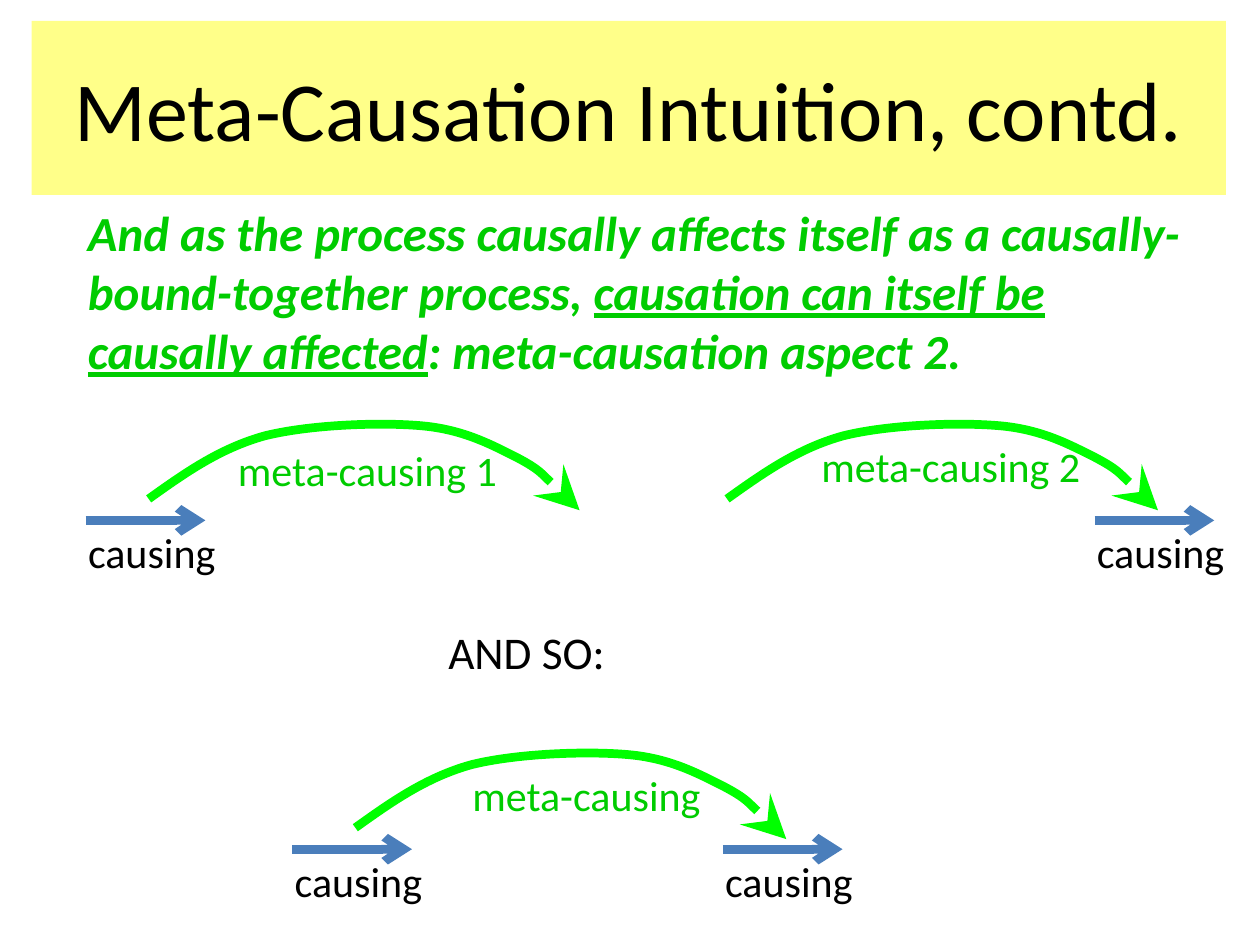
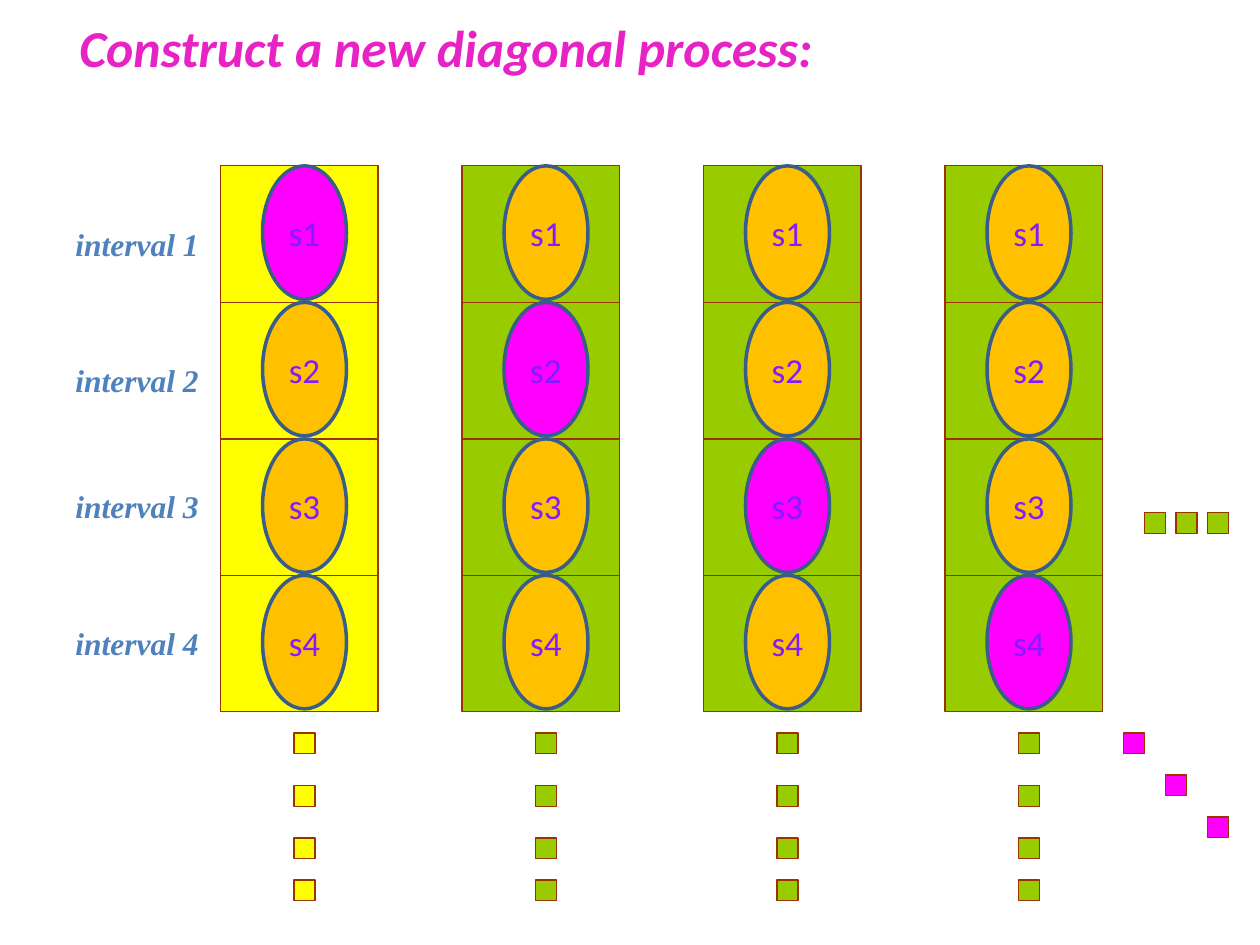
from lxml.etree import SubElement
from pptx import Presentation
from pptx.dml.color import RGBColor
from pptx.enum.shapes import MSO_CONNECTOR, MSO_SHAPE
from pptx.enum.text import MSO_ANCHOR, MSO_AUTO_SIZE, PP_ALIGN
from pptx.oxml.ns import qn
from pptx.util import Inches, Pt

COLOURS = dict(
    ink="000000", band="FFFF89", meta_text="00CC00", meta_arc="00FF00",
    cause="4A7EBB", yellow="FFFF00", green="99CC00", magenta="FF00FF",
    amber="FFC000", border="993300", outline="385D8A", state="821BFF",
    interval="4F81BD", heading="E723C6",
)
UNIT = 1 / 12

TITLE = "Meta-Causation Intuition, contd."
CLAIM = [
    ("And as the process causally affects itself as a causally-bound-together process, ", False),
    ("causation can itself be causally affected", True),
    (": meta-causation aspect 2.", False),
]
CAUSE_LABEL = "causing"
CONCLUSION = "AND SO:"
META_LINKS = [
    dict(origin=(0.6, 4.13), label="meta-causing 1", label_at=(1.19, -0.65), label_width=2.26, causes=[0]),
    dict(origin=(5.19, 4.13), label="meta-causing 2", label_at=(1.23, -0.68), label_width=2.26, causes=[1]),
    dict(origin=(2.24, 6.74), label="meta-causing", label_at=(1.41, -0.68), label_width=2.02, causes=[0, 1]),
]
CAUSE_STEP = 41 * UNIT
ARC_START = (0.58, -0.17)
ARC_CURVES = [
    [(0.86, -0.37), (1.14, -0.57), (1.5, -0.67)],
    [(1.86, -0.76), (2.42, -0.78), (2.75, -0.75)],
    [(3.08, -0.72), (3.3, -0.6), (3.5, -0.5)],
    [(3.69, -0.4), (3.83, -0.24), (3.92, -0.17)],
    [(4.0, -0.1), (4.0, -0.09), (4.0, -0.08)],
]

HEADING = "Construct a new diagonal process:"
PROCESSES = ["yellow", "green", "green", "green"]
STATES = ["s1", "s2", "s3", "s4"]
INTERVALS = [("interval 1", 1.74), ("interval 2", 2.82), ("interval 3", 3.82), ("interval 4", 4.9)]
GRID_LEFT, GRID_TOP = 21 * UNIT, 15.8 * UNIT
PITCH, CELL_WIDTH, CELL_HEIGHT = 23 * UNIT, 15 * UNIT, 13 * UNIT
DOT = 2 * UNIT
TRAIL_TOP = GRID_TOP + 54 * UNIT
TRAIL_STEPS = [0, 5, 10, 14]
MORE_PROCESSES = [(109 * UNIT + 3 * UNIT * n, 4.07) for n in range(3)]
MORE_DIAGONAL = [(107 * UNIT + 4 * UNIT * n, TRAIL_TOP + 4 * UNIT * n) for n in range(3)]


def rgb(name):
    return RGBColor.from_string(COLOURS[name])


def write(paragraph, text, size, colour, font="Calibri", strong=False, underline=False):
    run = paragraph.add_run()
    run.text = text
    run.font.name = font
    run.font.size = Pt(size)
    run.font.color.rgb = rgb(colour)
    run.font.bold = run.font.italic = strong
    run.font.underline = underline


def text_box(slide, left, top, width, height, wrap=True, grow=True):
    frame = slide.shapes.add_textbox(*map(Inches, (left, top, width, height))).text_frame
    frame.word_wrap = wrap
    frame.auto_size = MSO_AUTO_SIZE.SHAPE_TO_FIT_TEXT if grow else MSO_AUTO_SIZE.NONE
    return frame


def block(slide, kind, left, top, width, height, fill, line=None, weight=0.75):
    shape = slide.shapes.add_shape(kind, *map(Inches, (left, top, width, height)))
    shape.shadow.inherit = False
    shape.fill.solid()
    shape.fill.fore_color.rgb = rgb(fill)
    if line:
        shape.line.color.rgb = rgb(line)
        shape.line.width = Pt(weight)
    else:
        shape.line.fill.background()
    return shape


def centred(shape, text, size, colour):
    frame = shape.text_frame
    frame.word_wrap = True
    frame.vertical_anchor = MSO_ANCHOR.MIDDLE
    frame.paragraphs[0].alignment = PP_ALIGN.CENTER
    write(frame.paragraphs[0], text, size, colour)


def arrow_line(shape, colour, head, size):
    shape.line.color.rgb = rgb(colour)
    shape.line.width = Pt(5)
    SubElement(shape.line._get_or_add_ln(), qn("a:tailEnd"), type=head, w=size, len=size)


def cause(slide, left, top):
    points = left + 0.08, top, left + 1.03, top
    arrow = slide.shapes.add_connector(MSO_CONNECTOR.STRAIGHT, *map(Inches, points))
    arrow_line(arrow, "cause", "arrow", "med")
    SubElement(arrow._element.spPr, qn("a:effectLst"))
    frame = text_box(slide, left, top, 1.21, 0.5, wrap=False)
    write(frame.paragraphs[0], CAUSE_LABEL, 24, "ink")


def bend(shape):
    route = next(shape._element.iter(qn("a:path")))
    segments = route.findall(qn("a:lnTo"))
    for first in range(0, len(segments), 3):
        curve = SubElement(route, qn("a:cubicBezTo"))
        for segment in segments[first:first + 3]:
            curve.append(segment[0])
            route.remove(segment)


def meta_arc(slide, left, top):
    start, *points = [
        (Inches(left + x), Inches(top + y))
        for x, y in [ARC_START, *sum(ARC_CURVES, [])]
    ]
    outline = slide.shapes.build_freeform(*start)
    outline.add_line_segments(points, close=False)
    arc = outline.convert_to_shape()
    bend(arc)
    arc.shadow.inherit = False
    arc.fill.background()
    arrow_line(arc, "meta_arc", "stealth", "lg")


def meta_link(slide, origin, label, label_at, label_width, causes):
    left, top = origin
    meta_arc(slide, left, top)
    for side in causes:
        cause(slide, left + side * CAUSE_STEP, top)
    frame = text_box(slide, left + label_at[0], top + label_at[1], label_width, 0.5, wrap=False)
    write(frame.paragraphs[0], label, 24, "meta_text")


def build_meta_causation(slide):
    for link in META_LINKS:
        meta_link(slide, **link)
    claim = text_box(slide, 0.6, 1.56, 9.03, 1.5).paragraphs[0]
    for text, underline in CLAIM:
        write(claim, text, 28, "meta_text", strong=True, underline=underline)
    band = block(slide, MSO_SHAPE.RECTANGLE, 0.25, 2 * UNIT, 9.48, 1.38, "band")
    centred(band, TITLE, 48, "ink")
    conclusion = text_box(slide, 3.46, 4.95, 2.47, 0.56, grow=False).paragraphs[0]
    conclusion.line_spacing = 0.9
    write(conclusion, CONCLUSION, 25.9, "ink")


def dot(slide, left, top, fill):
    block(slide, MSO_SHAPE.RECTANGLE, left, top, DOT, DOT, fill, "border")


def build_diagonal(slide):
    for column, fill in enumerate(PROCESSES):
        left = GRID_LEFT + column * PITCH
        for row, state in enumerate(STATES):
            top = GRID_TOP + row * CELL_HEIGHT
            block(slide, MSO_SHAPE.RECTANGLE, left, top, CELL_WIDTH, CELL_HEIGHT, fill, "border")
            state_fill = "magenta" if row == column else "amber"
            oval = block(slide, MSO_SHAPE.OVAL, left + 4 * UNIT, top, 8 * UNIT, 1.06, state_fill, "outline", 2)
            centred(oval, state, 20, "state")
        for step in TRAIL_STEPS:
            dot(slide, left + 7 * UNIT, TRAIL_TOP + step * UNIT, fill)
    for places, fill in ((MORE_PROCESSES, "green"), (MORE_DIAGONAL, "magenta")):
        for left, top in places:
            dot(slide, left, top, fill)
    for text, top in INTERVALS:
        frame = text_box(slide, 0.5, top, 1.25, 0.4)
        write(frame.paragraphs[0], text, 18, "interval", "Times New Roman", strong=True)
    frame = text_box(slide, 0.15, 0.13, 9.58, 0.62, grow=False)
    frame.margin_left = Inches(0.48)
    frame.paragraphs[0].line_spacing = 0.9
    write(frame.paragraphs[0], HEADING, 29.6, "heading", strong=True)


def main():
    deck = Presentation()
    deck.slide_width, deck.slide_height = Inches(10), Inches(7.5)
    for build in (build_meta_causation, build_diagonal):
        build(deck.slides.add_slide(deck.slide_layouts[6]))
    deck.save("out.pptx")


if __name__ == "__main__":
    main()
